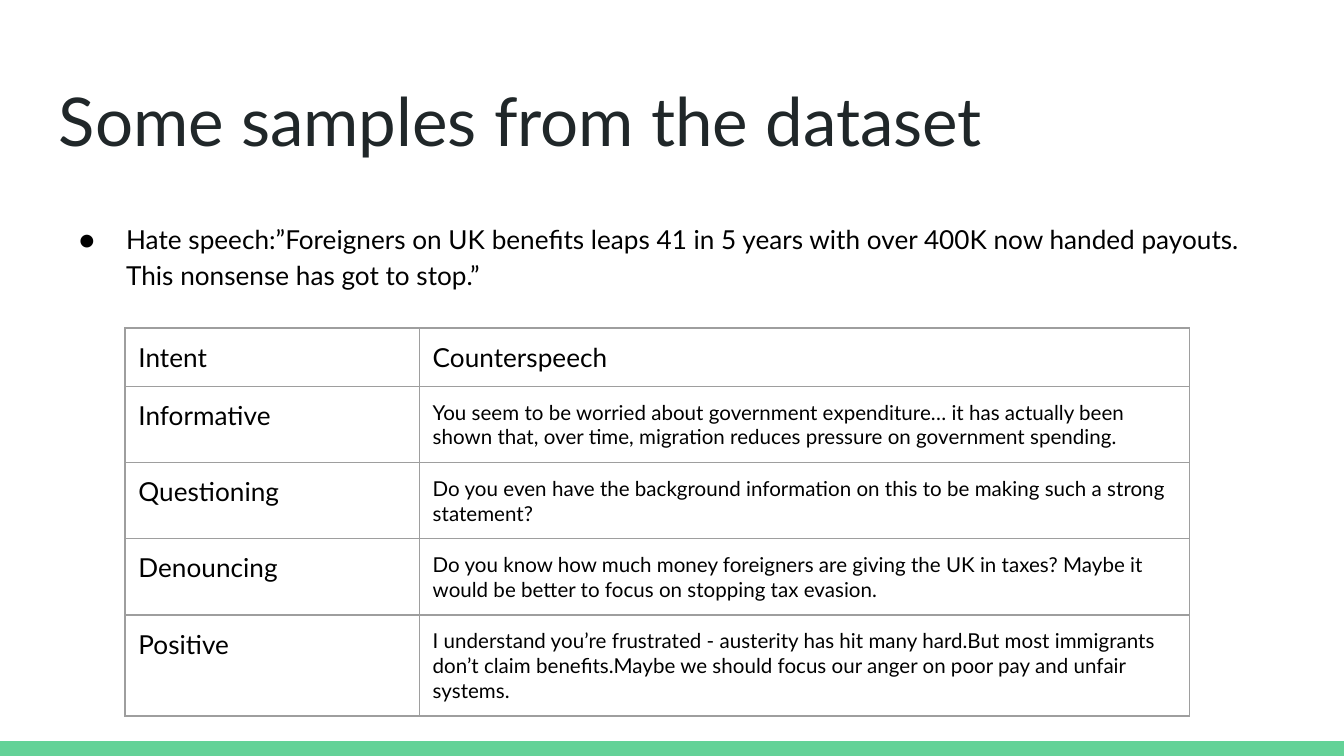
import pptx
import pptx.dml.color
import pptx.enum.shapes
import pptx.oxml
import pptx.oxml.ns
import pptx.util
from pptx.util import Inches

RGBColor = pptx.dml.color.RGBColor
GREEN = RGBColor(0x63, 0xD2, 0x97)
CHARCOAL = RGBColor(0x20, 0x27, 0x29)
BLACK = RGBColor(0x00, 0x00, 0x00)
GRAY = RGBColor(0x9E, 0x9E, 0x9E)
FONT = "Lato"
INSET = Inches(0.1)

SAMPLES = [
    ("Intent", "Counterspeech"),
    ("Informative", "You seem to be worried about government expenditure… it has actually "
     "been shown that, over time, migration reduces pressure on government spending."),
    ("Questioning", "Do you even have the background information on this to be making "
     "such a strong statement?"),
    ("Denouncing", "Do you know how much money foreigners are giving the UK in taxes? "
     "Maybe it would be better to focus on stopping tax evasion."),
    ("Positive", "I understand you’re frustrated - austerity has hit many hard."
     "But most immigrants don’t claim benefits."
     "Maybe we should focus our anger on poor pay and unfair systems."),
]
HATE_SPEECH = ("Hate speech:”Foreigners on UK benefits leaps 41 in 5 years with over 400K "
               "now handed payouts. This nonsense has got to stop.”")


def add_xml(parent, tag, **attributes):
    child = pptx.oxml.parse_xml(f"<a:{tag} {pptx.oxml.ns.nsdecls('a')}/>")
    for name, value in attributes.items():
        child.set(name, str(value))
    parent.append(child)
    return child


def style_run(paragraph, size, color):
    font = paragraph.runs[0].font
    font.name = FONT
    font.size = pptx.util.Pt(size)
    font.color.rgb = color


def set_margins(holder):
    holder.margin_left = holder.margin_right = INSET
    holder.margin_top = holder.margin_bottom = INSET


def add_text(slide, box, text, size, color):
    frame = slide.shapes.add_textbox(*box).text_frame
    frame.word_wrap = True
    set_margins(frame)
    frame.text = text
    paragraph = frame.paragraphs[0]
    style_run(paragraph, size, color)
    return paragraph


def add_footer_bar(slide, box):
    bar = slide.shapes.add_shape(pptx.enum.shapes.MSO_SHAPE.RECTANGLE, *box)
    bar.shadow.inherit = False
    bar.fill.solid()
    bar.fill.fore_color.rgb = GREEN
    bar.line.fill.background()


def add_bullet(slide, box, text):
    paragraph = add_text(slide, box, text, 14, BLACK)
    paragraph.line_spacing = 1.15
    properties = paragraph._p.get_or_add_pPr()
    properties.set("marL", str(Inches(0.5)))
    properties.set("indent", str(Inches(-0.35)))
    add_xml(add_xml(properties, "buClr"), "srgbClr", val=BLACK)
    add_xml(properties, "buFont", typeface=FONT)
    add_xml(properties, "buChar", char="●")


def add_borders(cell):
    """Outline all four sides; borders must precede the fill in the cell properties."""
    properties = cell._tc.get_or_add_tcPr()
    for side in ("lnL", "lnR", "lnT", "lnB"):
        line = add_xml(properties, side, w=pptx.util.Pt(0.75))
        add_xml(add_xml(line, "solidFill"), "srgbClr", val=GRAY)


def add_samples_table(slide, left, top, column_widths, row_height):
    table = slide.shapes.add_table(
        len(SAMPLES), len(column_widths), left, top,
        sum(column_widths), row_height * len(SAMPLES)).table
    table.first_row = table.horz_banding = False
    for column, width in zip(table.columns, column_widths):
        column.width = width
    for row, texts in enumerate(SAMPLES):
        for column, text in enumerate(texts):
            cell = table.cell(row, column)
            set_margins(cell)
            cell.text = text
            is_reply = row > 0 and column == 1
            style_run(cell.text_frame.paragraphs[0], 11 if is_reply else 14, BLACK)
            add_borders(cell)
            cell.fill.background()


def main():
    deck = pptx.Presentation()
    deck.slide_width = Inches(10)
    deck.slide_height = deck.slide_width * 9 // 16
    slide = deck.slides.add_slide(deck.slide_layouts[6])
    left, width = Inches(0.34), Inches(9.32)
    bar_height = Inches(0.11)
    add_footer_bar(slide, (0, deck.slide_height - bar_height, deck.slide_width, bar_height))
    add_text(slide, (left, Inches(0.49), width, Inches(0.63)),
             "Some samples from the dataset", 36, CHARCOAL)
    add_bullet(slide, (left, Inches(1.53), width, Inches(3.47)), HATE_SPEECH)
    add_samples_table(slide, Inches(0.93), Inches(2.44),
                      (Inches(2.19), Inches(5.73)), Inches(0.42))
    deck.save("out.pptx")


if __name__ == "__main__":
    main()
